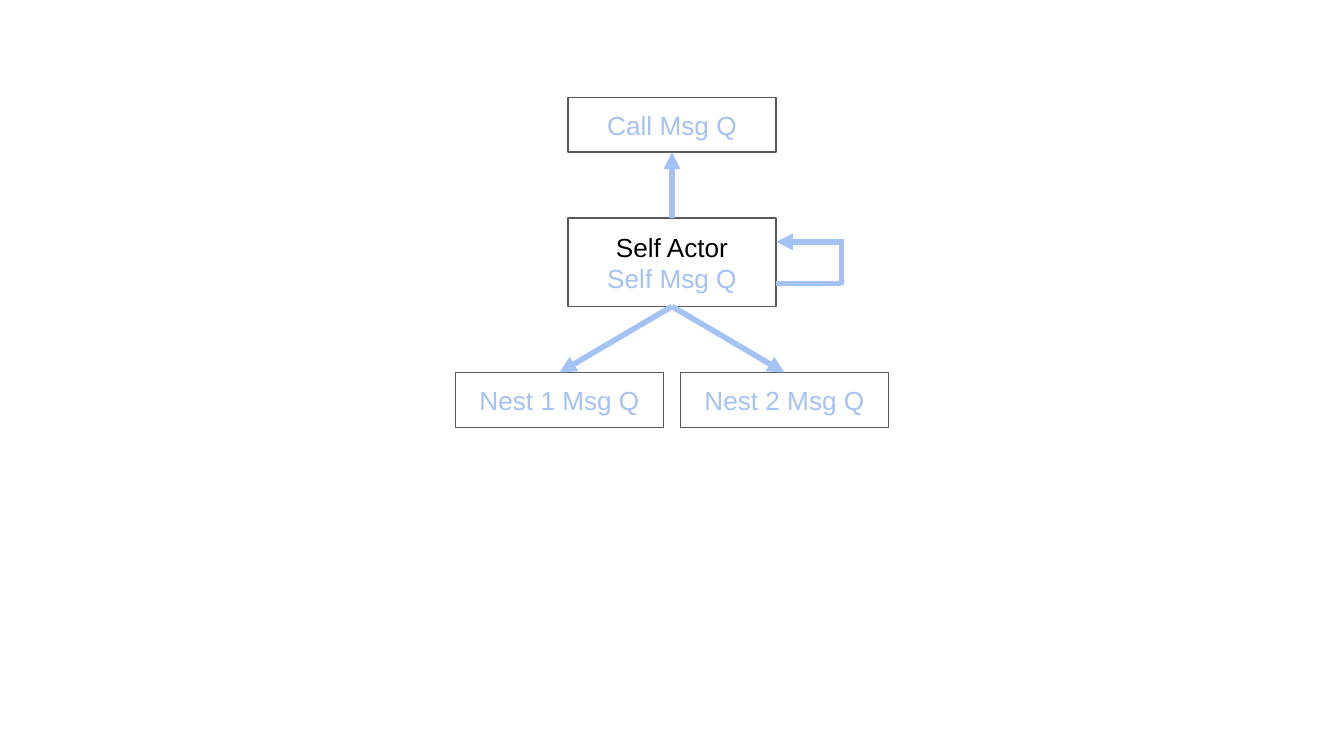
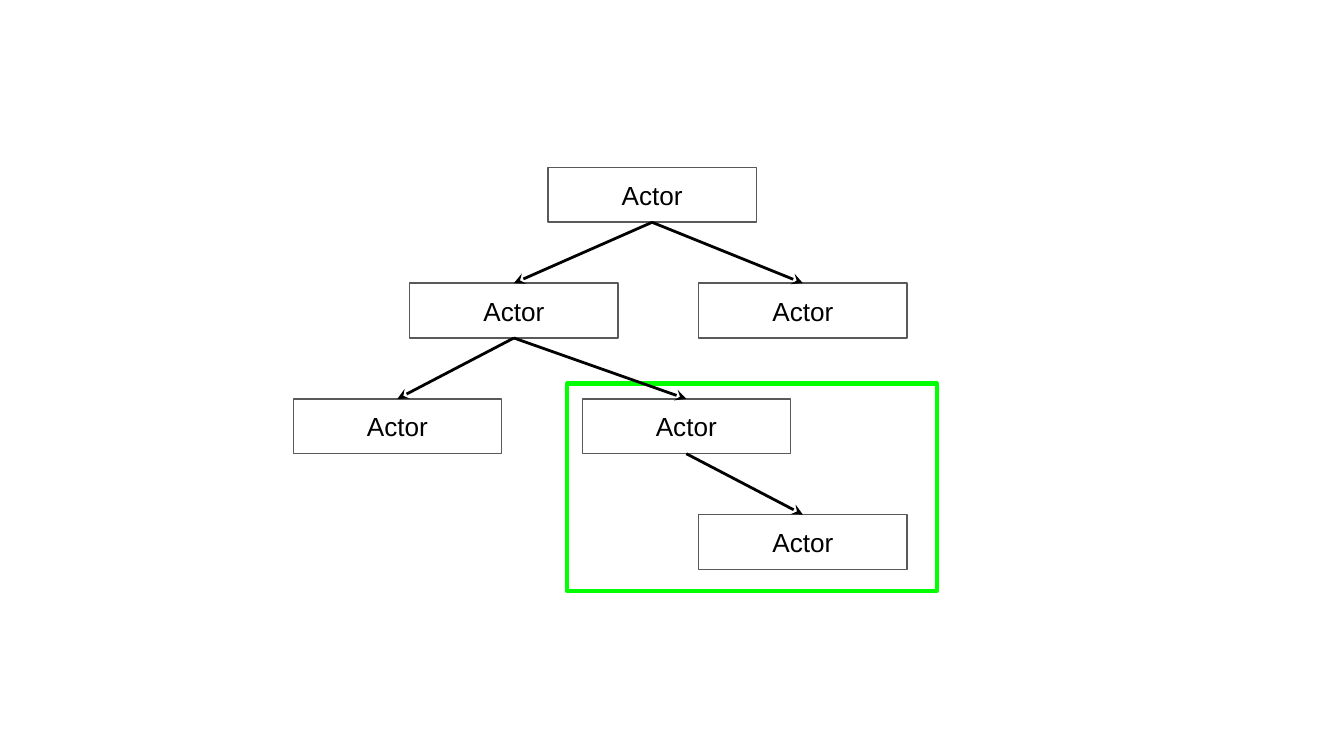
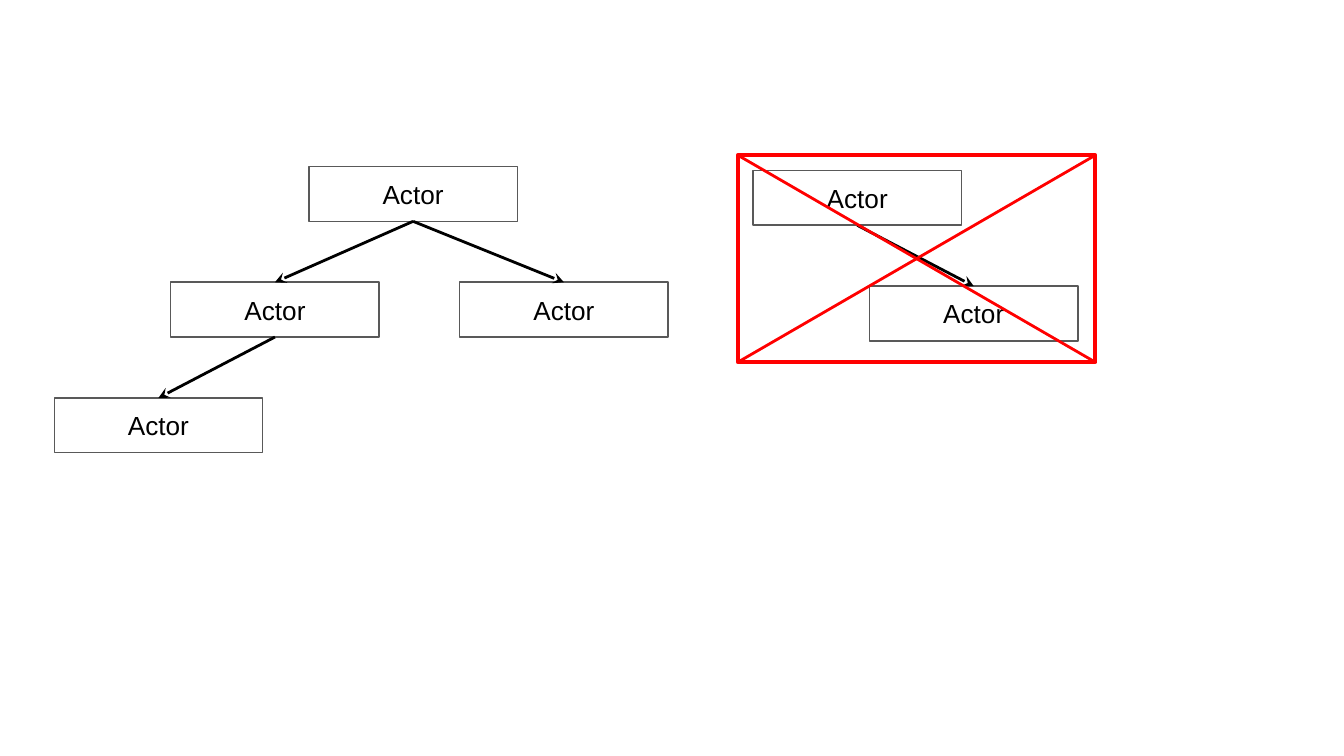
from dataclasses import dataclass

from lxml.etree import SubElement
from pptx import Presentation
from pptx.dml.color import RGBColor
from pptx.enum.shapes import MSO_CONNECTOR, MSO_SHAPE
from pptx.enum.text import MSO_ANCHOR, PP_ALIGN
from pptx.oxml.ns import qn
from pptx.util import Inches, Pt

# Grid: 100 columns by 56.25 rows of square cells (16:9)
COLUMNS, ROWS = 100, 56.25
CELL = Inches(0.1)

WHITE = RGBColor(0xFF, 0xFF, 0xFF)
BLACK = RGBColor(0x00, 0x00, 0x00)
GREY = RGBColor(0x59, 0x59, 0x59)
BLUE = RGBColor(0xA4, 0xC2, 0xF4)
GREEN = RGBColor(0x00, 0xFF, 0x00)
RED = RGBColor(0xFF, 0x00, 0x00)

FONT, FONT_SIZE = "Arial", Pt(14)
TOP, BOTTOM = 0, 2  # connection sites

BOX_WIDTH, BOX_HEIGHT = 15.5, 4.08


@dataclass(frozen=True)
class Area:
    column: float
    row: float
    width: float = BOX_WIDTH
    height: float = BOX_HEIGHT

    @property
    def right(self) -> float:
        return self.column + self.width

    @property
    def bottom(self) -> float:
        return self.row + self.height


@dataclass(frozen=True)
class Stroke:
    color: RGBColor
    points: float
    head: str = ""
    tail: str = ""


@dataclass(frozen=True)
class Label:
    text: str
    color: RGBColor = BLACK


OUTLINE = Stroke(GREY, 0.75)
MESSAGE_LINE = Stroke(BLUE, 3)
MESSAGE_ARROW = Stroke(BLUE, 3, tail="triangle")
CHILD_ARROW = Stroke(BLACK, 1.5, head="stealth")
CROSS_LINE = Stroke(RED, 1.5)

# Actor tree: places relative to the outer leaf's column and the root's row
STEP, FORK, LEVEL = 8.67, 21.5, 8.61
PLACES = {
    "root": (18.95, 0),
    "left": (STEP, LEVEL),
    "right": (FORK + STEP, LEVEL),
    "outer": (0, 2 * LEVEL),
    "inner": (FORK, 2 * LEVEL),
    "last": (FORK + STEP, 3 * LEVEL),
}
PARENTS = {"left": "root", "right": "root", "outer": "left", "last": "inner"}


def cells(count: float) -> int:
    return round(count * CELL)


def add_page(deck):
    return deck.slides.add_slide(deck.slide_layouts[6])


def apply_stroke(item, stroke: Stroke) -> None:
    item.line.color.rgb = stroke.color
    item.line.width = Pt(stroke.points)
    outline = item.element.spPr.get_or_add_ln()
    SubElement(outline, qn("a:round"))
    for tag, kind in (("a:headEnd", stroke.head), ("a:tailEnd", stroke.tail)):
        if kind:
            SubElement(outline, qn(tag), type=kind)


def add_rectangle(page, area: Area, stroke: Stroke):
    box = page.shapes.add_shape(
        MSO_SHAPE.RECTANGLE,
        *map(cells, (area.column, area.row, area.width, area.height)))
    box.shadow.inherit = False
    box.fill.background()
    apply_stroke(box, stroke)
    return box


def add_box(page, area: Area, *labels: Label):
    box = add_rectangle(page, area, OUTLINE)
    box.fill.solid()
    box.fill.fore_color.rgb = WHITE
    frame = box.text_frame
    frame.word_wrap = True
    frame.vertical_anchor = MSO_ANCHOR.MIDDLE
    frame.margin_left = frame.margin_right = cells(1)
    frame.margin_top = frame.margin_bottom = cells(1)
    for index, label in enumerate(labels):
        para = frame.add_paragraph() if index else frame.paragraphs[0]
        para.alignment = PP_ALIGN.CENTER
        span = para.add_run()
        span.text = label.text
        span.font.name, span.font.size = FONT, FONT_SIZE
        span.font.color.rgb = label.color
    return box


def add_line(page, start: tuple, end: tuple, stroke: Stroke):
    line = page.shapes.add_connector(
        MSO_CONNECTOR.STRAIGHT, *map(cells, (*start, *end)))
    apply_stroke(line, stroke)
    SubElement(line.element.spPr, qn("a:effectLst"))
    return line


def link(page, source, source_side: int, target, target_side: int,
         stroke: Stroke) -> None:
    line = add_line(page, (0, 0), (1, 1), stroke)
    line.begin_connect(source, source_side)
    line.end_connect(target, target_side)


def add_tree(page, column: float, row: float, names: tuple) -> dict:
    actors = {}
    for name in names:
        across, down = PLACES[name]
        actors[name] = add_box(
            page, Area(column + across, row + down), Label("Actor"))
    for child, parent in PARENTS.items():
        if child in actors and parent in actors:
            link(page, actors[child], TOP, actors[parent], BOTTOM, CHILD_ARROW)
    return actors


def build_message_queues(deck) -> None:
    page = add_page(deck)
    middle = (COLUMNS - BOX_WIDTH) / 2
    own = Area(middle, 16.23, height=6.57)
    self_box = add_box(page, own, Label("Self Actor"), Label("Self Msg Q", BLUE))
    call_box = add_box(page, Area(middle, 7.25), Label("Call Msg Q", BLUE))
    link(page, self_box, TOP, call_box, BOTTOM, MESSAGE_ARROW)
    for number, side in ((1, -1), (2, 1)):
        nest = add_box(page, Area(middle + side * 8.37, 27.72),
                       Label(f"Nest {number} Msg Q", BLUE))
        link(page, self_box, BOTTOM, nest, TOP, MESSAGE_ARROW)

    # Loop from the actor back to itself
    loop_right, loop_top, loop_bottom = 62.6, 18, 21.1
    add_line(page, (own.right, loop_bottom), (loop_right, loop_bottom), MESSAGE_LINE)
    add_line(page, (loop_right, loop_top - 0.2), (loop_right, loop_bottom + 0.1),
             MESSAGE_LINE)
    add_line(page, (loop_right, loop_top), (own.right, loop_top), MESSAGE_ARROW)


def build_marked_branch(deck) -> None:
    page = add_page(deck)
    actors = add_tree(page, 21.82, 12.46, tuple(PLACES))
    add_rectangle(page, Area(42.2, 28.53, 27.5, 15.43), Stroke(GREEN, 2.25))
    link(page, actors["inner"], TOP, actors["left"], BOTTOM, CHILD_ARROW)


def build_removed_branch(deck) -> None:
    page = add_page(deck)
    add_tree(page, 4.04, 12.39, ("root", "left", "right", "outer"))
    add_tree(page, 56.03 - FORK, 12.68 - 2 * LEVEL, ("inner", "last"))

    # Crossed-out frame
    area = Area(54.9, 11.55, 26.6, 15.4)
    add_rectangle(page, area, Stroke(RED, 2.25))
    add_line(page, (area.column, area.bottom), (area.right, area.row), CROSS_LINE)
    add_line(page, (area.column, area.row), (area.right, area.bottom), CROSS_LINE)


def main() -> None:
    deck = Presentation()
    deck.slide_width, deck.slide_height = cells(COLUMNS), cells(ROWS)
    build_message_queues(deck)
    build_marked_branch(deck)
    build_removed_branch(deck)
    deck.save("out.pptx")


if __name__ == "__main__":
    main()
